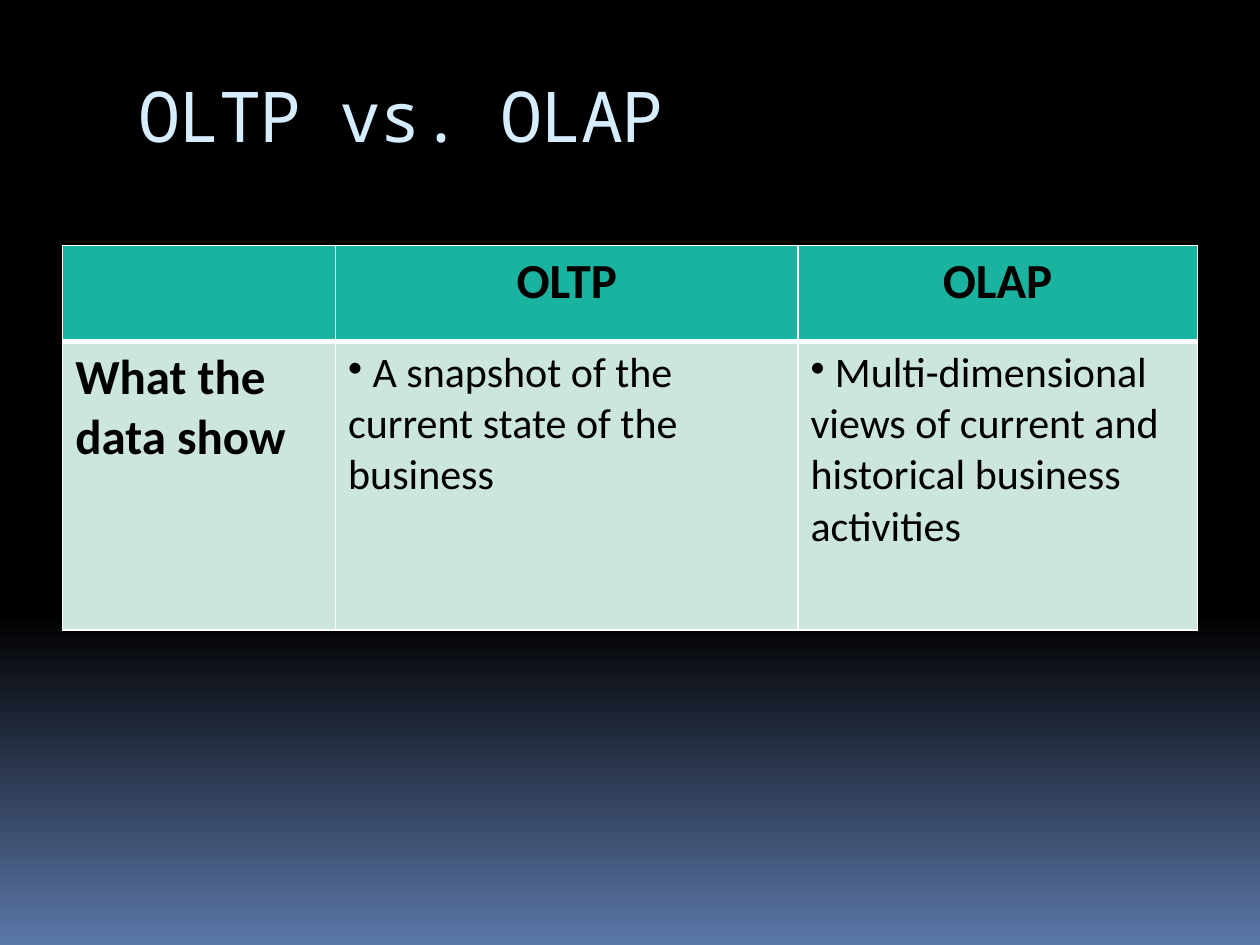
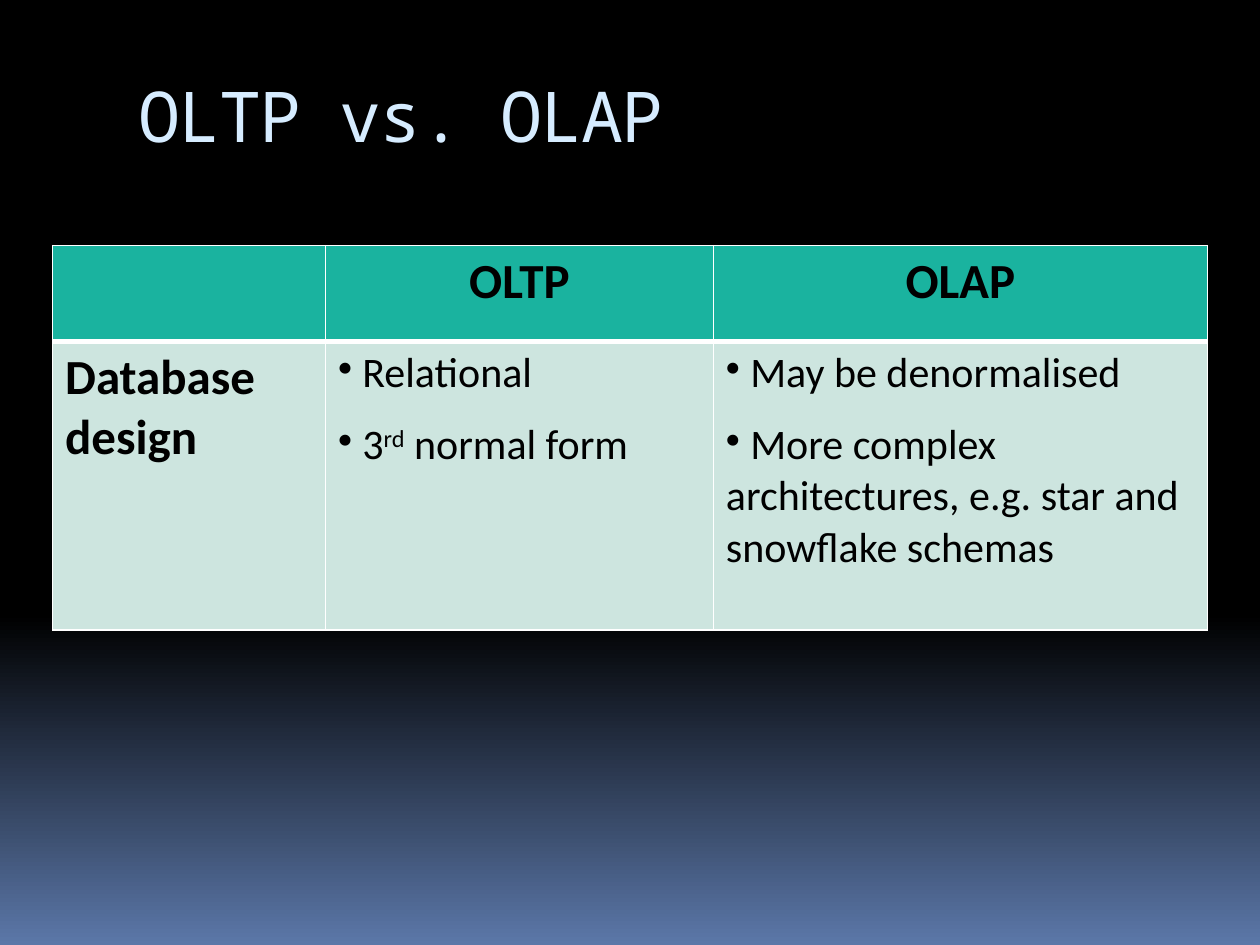
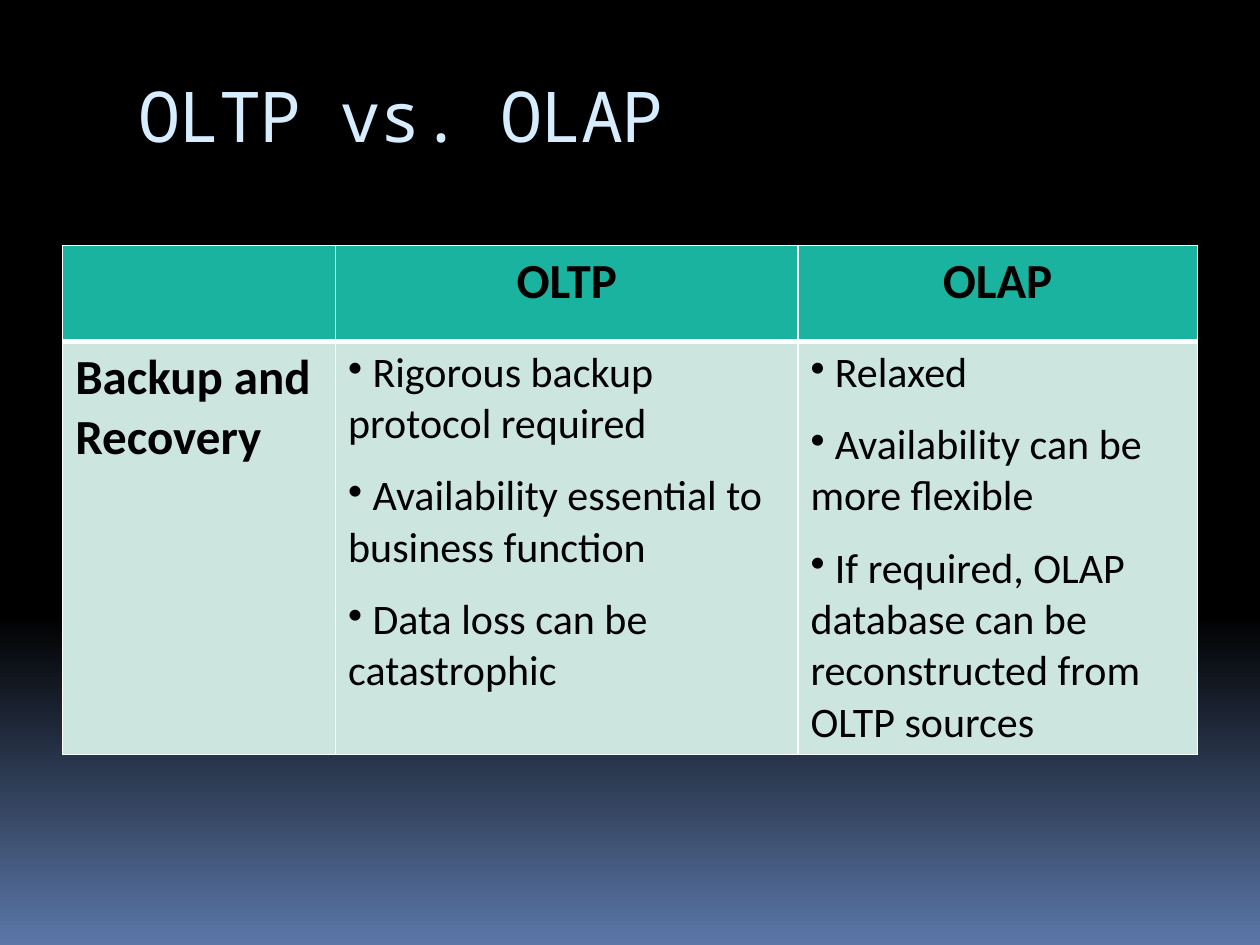
from copy import deepcopy
from dataclasses import dataclass

from pptx import Presentation
from pptx.dml.color import RGBColor
from pptx.enum.text import MSO_ANCHOR, MSO_AUTO_SIZE, PP_ALIGN
from pptx.oxml.ns import qn
from pptx.util import Cm, Pt
from lxml.etree import SubElement

TITLE = "OLTP vs. OLAP"
HEADINGS = ["", "OLTP", "OLAP"]

# Text between carets is superscript.
COMPARISONS = [
    {
        "aspect": "What the data show",
        "OLTP": ["A snapshot of the current state of the business"],
        "OLAP": ["Multi-dimensional views of current and historical business activities"],
        "columns": [5.5, 9.32, 8.05],
        "body_height": 5.82,
    },
    {
        "aspect": "Database design",
        "OLTP": ["Relational", "3^rd^ normal form"],
        "OLAP": [
            "May be denormalised",
            "More complex architectures, e.g. star and snowflake schemas",
        ],
        "columns": [5.5, 7.82, 9.96],
        "body_height": 5.82,
    },
    {
        "aspect": "Backup and Recovery",
        "OLTP": [
            "Rigorous backup protocol required",
            "Availability essential to business function",
            "Data loss can be catastrophic",
        ],
        "OLAP": [
            "Relaxed",
            "Availability can be more flexible",
            "If required, OLAP database can be reconstructed from OLTP sources",
        ],
        "columns": [5.5, 9.32, 8.05],
        "body_height": 8.23,
    },
]

SLIDE_WIDTH, SLIDE_HEIGHT = 25.4, 19.05
TABLE_TOP, HEADER_HEIGHT = 4.95, 1.93


@dataclass(frozen=True)
class Theme:
    title_font: str = "Noto Sans Mono"
    body_font: str = "Calibri"
    title_size: int = 40
    heading_size: int = 28
    bullet_size: int = 24
    title_color: str = "D6ECFF"
    text_color: str = "000000"
    header_fill: str = "1AB39F"
    body_fill: str = "CDE5DF"
    border_color: str = "FFFFFF"
    thin_border: int = 1
    thick_border: int = 3
    background: tuple = ((0, "000000"), (0.65, "000000"), (1, "5B77A8"))


THEME = Theme()


def paint_background(master):
    fill = master.background.fill
    fill.gradient()
    fill.gradient_angle = 270
    stop_list = next(master.element.iter(qn("a:gsLst")))
    stop_list.insert(1, deepcopy(stop_list[0]))
    for stop, (position, color) in zip(fill.gradient_stops, THEME.background):
        stop.position = position
        stop.color.rgb = RGBColor.from_string(color)


def format_font(font, name=THEME.body_font, size=THEME.heading_size,
                color=THEME.text_color, bold=False):
    font.name = name
    font.size = Pt(size)
    font.bold = bold
    font.color.rgb = RGBColor.from_string(color)


def write(paragraph, text, align=PP_ALIGN.LEFT, **font_format):
    """Fill a paragraph, raising the parts that stand between carets."""
    paragraph.alignment = align
    for index, part in enumerate(text.split("^")):
        run = paragraph.add_run()
        run.text = part
        format_font(run.font, **font_format)
        if index % 2:
            run.font._element.set("baseline", "30000")


def write_bullets(text_frame, items):
    for index, item in enumerate(items):
        paragraph = text_frame.add_paragraph() if index else text_frame.paragraphs[0]
        if index:
            paragraph.space_before = Pt(6)
        paragraph.space_after = Pt(6)
        properties = paragraph._p.get_or_add_pPr()
        properties.set("marL", "0")
        properties.set("indent", "0")
        SubElement(properties, qn("a:buChar"), char="•")
        write(paragraph, " " + item, size=THEME.bullet_size)


def style_cell(cell, fill, top, bottom):
    """Set the borders, then the fill, in the order the file format asks for."""
    properties = cell._tc.get_or_add_tcPr()
    widths = {"L": THEME.thin_border, "R": THEME.thin_border, "T": top, "B": bottom}
    for side, width in widths.items():
        line = SubElement(properties, qn(f"a:ln{side}"), w=str(Pt(width)))
        solid = SubElement(line, qn("a:solidFill"))
        SubElement(solid, qn("a:srgbClr"), val=THEME.border_color)
    cell.fill.solid()
    cell.fill.fore_color.rgb = RGBColor.from_string(fill)


def add_title(slide):
    title = slide.shapes.title
    title.left, title.top, title.width, title.height = Cm(2.54), Cm(1.42), Cm(21.59), Cm(2.54)
    frame = title.text_frame
    frame.auto_size = MSO_AUTO_SIZE.NONE
    frame.vertical_anchor = MSO_ANCHOR.TOP
    frame.margin_top = Cm(0.05)
    paragraph = frame.paragraphs[0]
    write(paragraph, TITLE, name=THEME.title_font, size=THEME.title_size,
          color=THEME.title_color)
    paragraph.runs[0].font._element.set("spc", "-100")


def add_comparison(slide, comparison):
    columns = comparison["columns"]
    heights = [HEADER_HEIGHT, comparison["body_height"]]
    width = sum(columns)
    table = slide.shapes.add_table(
        len(heights), len(columns), Cm((SLIDE_WIDTH - width) / 2), Cm(TABLE_TOP),
        Cm(width), Cm(sum(heights))).table
    for row, height in zip(table.rows, heights):
        row.height = Cm(height)
    for index, (heading, column_width) in enumerate(zip(HEADINGS, columns)):
        table.columns[index].width = Cm(column_width)
        header, body = table.cell(0, index), table.cell(1, index)
        style_cell(header, THEME.header_fill, THEME.thin_border, THEME.thick_border)
        style_cell(body, THEME.body_fill, THEME.thick_border, THEME.thin_border)
        if heading:
            write(header.text_frame.paragraphs[0], heading, align=PP_ALIGN.CENTER, bold=True)
            write_bullets(body.text_frame, comparison[heading])
        else:
            write(body.text_frame.paragraphs[0], comparison["aspect"], bold=True)


def main():
    presentation = Presentation()
    presentation.slide_width, presentation.slide_height = Cm(SLIDE_WIDTH), Cm(SLIDE_HEIGHT)
    paint_background(presentation.slide_master)
    title_only = presentation.slide_layouts.get_by_name("Title Only")
    for comparison in COMPARISONS:
        slide = presentation.slides.add_slide(title_only)
        add_title(slide)
        add_comparison(slide, comparison)
    presentation.save("out.pptx")


if __name__ == "__main__":
    main()
